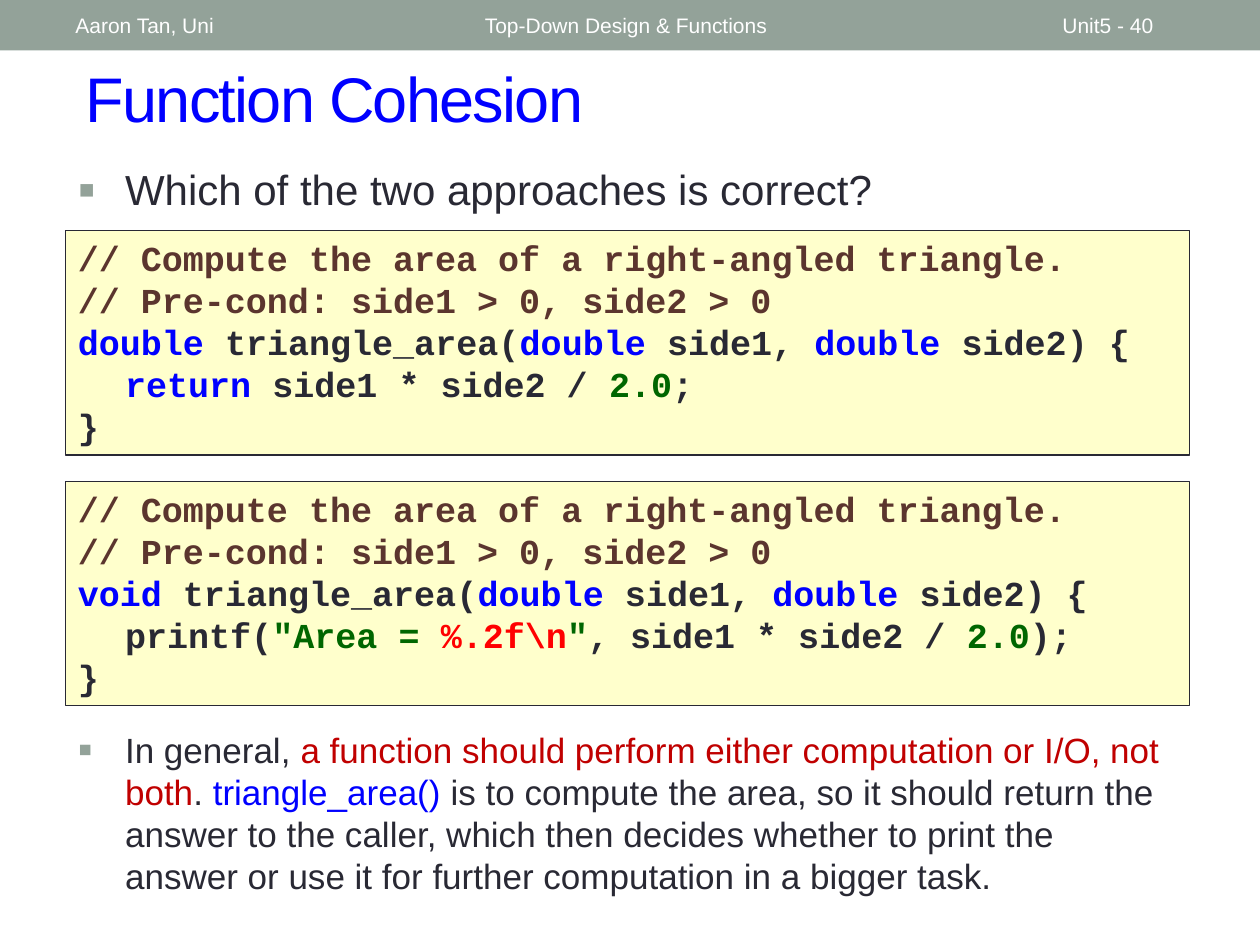
from lxml.etree import SubElement
from pptx import Presentation
from pptx.dml.color import RGBColor
from pptx.enum.shapes import MSO_SHAPE
from pptx.enum.text import MSO_ANCHOR, PP_ALIGN
from pptx.oxml.ns import qn
from pptx.util import Pt

SAGE, WHITE, INK, BLUE = "93A299", "FFFFFF", "292934", "0000FF"
BROWN, GREEN, RED, DARK_RED, CREAM = "5B352E", "006600", "FF0000", "C00000", "FFFFCC"

TITLE = "Function Cohesion"
HEADER = [("Aaron Tan, Uni", 36, 228),
          ("Top-Down Design & Functions", 270, 324),
          ("Unit5 - 40", 600, 84)]

COMMENTS = [[("// Compute the area of a right-angled triangle.", BROWN)],
            [("// Pre-cond: side1 > 0, side2 > 0", BROWN)]]
SIGNATURE = [(" triangle_area(", INK), ("double ", BLUE), ("side1, ", INK),
             ("double", BLUE), (" side2) {", INK)]
# top, return type, body line
FUNCTIONS = [
    (131.8, "double", [("\t", INK), ("return ", BLUE), ("side1 * side2 / ", INK),
                       ("2.0", GREEN), (";", INK)]),
    (275, "void", [("\tprintf(", INK), ('"Area = ', GREEN), ("%.2f\\n", RED),
                   ('"', GREEN), (", side1 * side2 / ", INK),
                   ("2.0", GREEN), (");", INK)]),
]
# top, height, text size, runs
BULLETS = [
    (90, 57, 24, [("Which of the two approaches is correct?", INK)]),
    (412.6, 109, 20, [
        ("In general, ", INK),
        ("a function should perform either computation or I/O, not both", DARK_RED),
        (". ", INK), ("triangle_area()", BLUE),
        (" is to compute the area, so it should return the answer to the caller, "
         "which then decides whether to print the answer or use it for further "
         "computation in a bigger task.", INK)]),
]
LEFT, WIDTH, INDENT = 37.4, 642.4, 27
CODE_HEIGHT = 128.2


def rgb(value):
    return RGBColor.from_string(value)


def add_runs(p, runs, **font):
    for text, color in runs:
        r = p.add_run()
        r.text = text
        r.font.color.rgb = rgb(color)
        for name, value in font.items():
            setattr(r.font, name, value)


def add_box(s, left, top, width, height, fill, line=None):
    sp = s.shapes.add_shape(MSO_SHAPE.RECTANGLE, Pt(left), Pt(top), Pt(width), Pt(height))
    sp.shadow.inherit = False
    sp.fill.solid()
    sp.fill.fore_color.rgb = rgb(fill)
    if line:
        sp.line.color.rgb = rgb(line)
        sp.line.width = Pt(0.75)
    else:
        sp.line.fill.background()
    return sp


def add_text(s, left, top, width, height):
    tf = s.shapes.add_textbox(Pt(left), Pt(top), Pt(width), Pt(height)).text_frame
    tf.word_wrap = True
    return tf


def add_header(s):
    add_box(s, 0, 0, 720, 28.8, SAGE)
    for text, left, width in HEADER:
        tf = add_text(s, left, 1.4, width, 26)
        tf.vertical_anchor = MSO_ANCHOR.MIDDLE
        add_runs(tf.paragraphs[0], [(text, WHITE)], name="Arial", size=Pt(12))


def add_title(s):
    title = s.shapes.title
    title.left, title.top, title.width, title.height = Pt(41.8), Pt(30.2), Pt(660), Pt(66)
    title.text_frame.vertical_anchor = MSO_ANCHOR.TOP
    p = title.text_frame.paragraphs[0]
    p.alignment = PP_ALIGN.LEFT
    add_runs(p, [(TITLE, BLUE)], name="Arial", size=Pt(36))
    p.runs[0].font._element.set("spc", "-100")


def add_code(s, top, return_type, body):
    tf = add_box(s, LEFT, top, WIDTH, CODE_HEIGHT, CREAM, INK).text_frame
    tf.word_wrap = True
    tf.vertical_anchor = MSO_ANCHOR.TOP
    lines = COMMENTS + [[(return_type, BLUE)] + SIGNATURE, body, [("}", INK)]]
    for i, runs in enumerate(lines):
        p = tf.add_paragraph() if i else tf.paragraphs[0]
        p.alignment = PP_ALIGN.LEFT
        tabs = SubElement(p._p.get_or_add_pPr(), qn("a:tabLst"))
        SubElement(tabs, qn("a:tab"), pos=str(Pt(INDENT)), algn="l")
        add_runs(p, runs, name="Courier New", size=Pt(20), bold=True)


def add_bullet(s, top, height, size, runs):
    p = add_text(s, LEFT, top, WIDTH, height).paragraphs[0]
    p.space_before = Pt(6)
    pPr = p._p.get_or_add_pPr()
    pPr.set("marL", str(Pt(INDENT)))
    pPr.set("indent", str(-Pt(INDENT)))
    SubElement(SubElement(pPr, qn("a:buClr")), qn("a:srgbClr"), val=SAGE)
    SubElement(pPr, qn("a:buSzPct"), val="120000")
    SubElement(pPr, qn("a:buFont"), typeface="Arial")
    SubElement(pPr, qn("a:buChar"), char="▪")
    add_runs(p, runs, name="Arial", size=Pt(size))


def main():
    prs = Presentation()
    prs.slide_width, prs.slide_height = Pt(720), Pt(540)
    s = prs.slides.add_slide(prs.slide_layouts[5])
    add_header(s)
    add_title(s)
    for function in FUNCTIONS:
        add_code(s, *function)
    for bullet in BULLETS:
        add_bullet(s, *bullet)
    prs.save("out.pptx")


if __name__ == "__main__":
    main()
